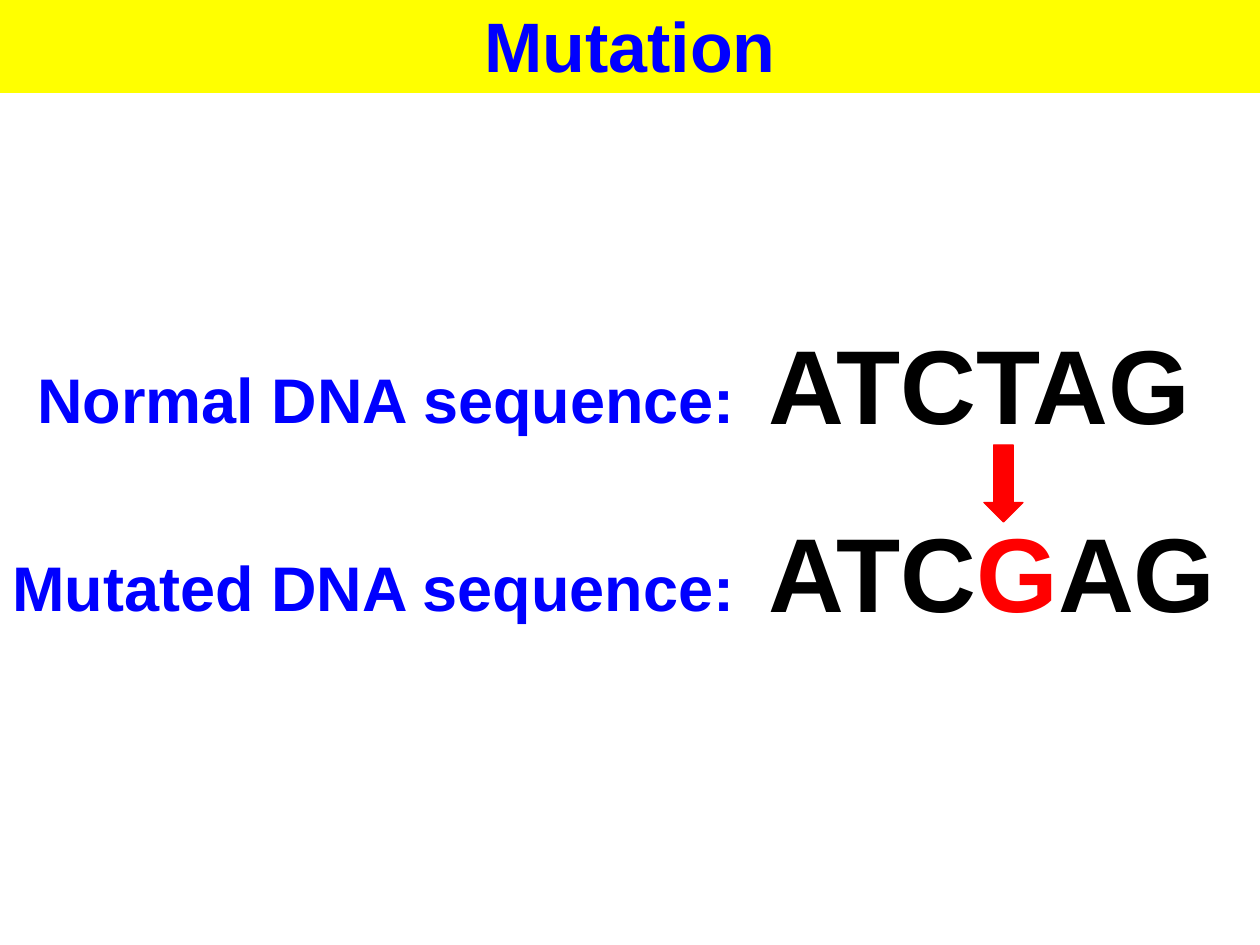
from pptx import Presentation
from pptx import util as u
from pptx.dml.color import RGBColor
from pptx.enum import shapes, text

COLORS = {"band": "FFFF00", "label": "0000FF", "base": "000000", "mutant": "FF0000"}
PX = u.Inches(1) / 126


def px(*lengths):
    return [u.Emu(round(n * PX)) for n in lengths]


def rgb(name):
    return RGBColor.from_string(COLORS[name])


class Deck:
    font = "Arial"

    def __init__(self, prs):
        self.s = prs.slides.add_slide(prs.slide_layouts[5])
        self.group = self.s.shapes.add_group_shape()

    def set_text(self, sp, runs, size):
        tf = sp.text_frame
        tf.word_wrap = True
        tf.auto_size = text.MSO_AUTO_SIZE.NONE
        p = tf.paragraphs[0]
        for content, color in runs:
            r = p.add_run()
            r.text = content
            r.font.color.rgb = rgb(color)
        p.font.name = self.font
        p.font.size = u.Pt(size)
        p.font.bold = True
        return p

    def title(self, content, x, y, w, h):
        sp = self.s.shapes.title
        sp.left, sp.top, sp.width, sp.height = px(x, y, w, h)
        sp.fill.solid()
        sp.fill.fore_color.rgb = rgb("band")
        p = self.set_text(sp, [(content, "label")], 40)
        p.alignment = text.PP_ALIGN.CENTER
        sp.text_frame.vertical_anchor = text.MSO_ANCHOR.MIDDLE

    def label(self, content, x, y, w, h):
        sp = self.s.shapes.add_textbox(*px(x, y, w, h))
        self.set_text(sp, [(content, "label")], 36)

    def sequence(self, runs, x, y, w, h):
        sp = self.group.shapes.add_textbox(*px(x, y, w, h))
        self.set_text(sp, runs, 60)

    def arrow(self, x, y, w, h):
        sp = self.group.shapes.add_shape(shapes.MSO_SHAPE.DOWN_ARROW, *px(x, y, w, h))
        sp.shadow.inherit = False
        sp.fill.solid()
        sp.fill.fore_color.rgb = rgb("mutant")
        sp.line.color.rgb = rgb("mutant")
        sp.line.width = u.Pt(0.75)


def main():
    prs = Presentation()
    prs.slide_width, prs.slide_height = px(1260, 945)
    deck = Deck(prs)
    deck.title("Mutation", 0, -4, 1260, 97)
    deck.sequence([("ATCTAG", "base")], 756, 313, 480, 140)
    deck.sequence([("ATC", "base"), ("G", "mutant"), ("AG", "base")], 756, 501, 480, 140)
    deck.arrow(984, 445, 39, 77)
    deck.label("Normal DNA sequence:", 25, 354, 745, 89)
    deck.label("Mutated DNA sequence:", 0, 542, 756, 89)
    prs.save("out.pptx")


if __name__ == "__main__":
    main()
